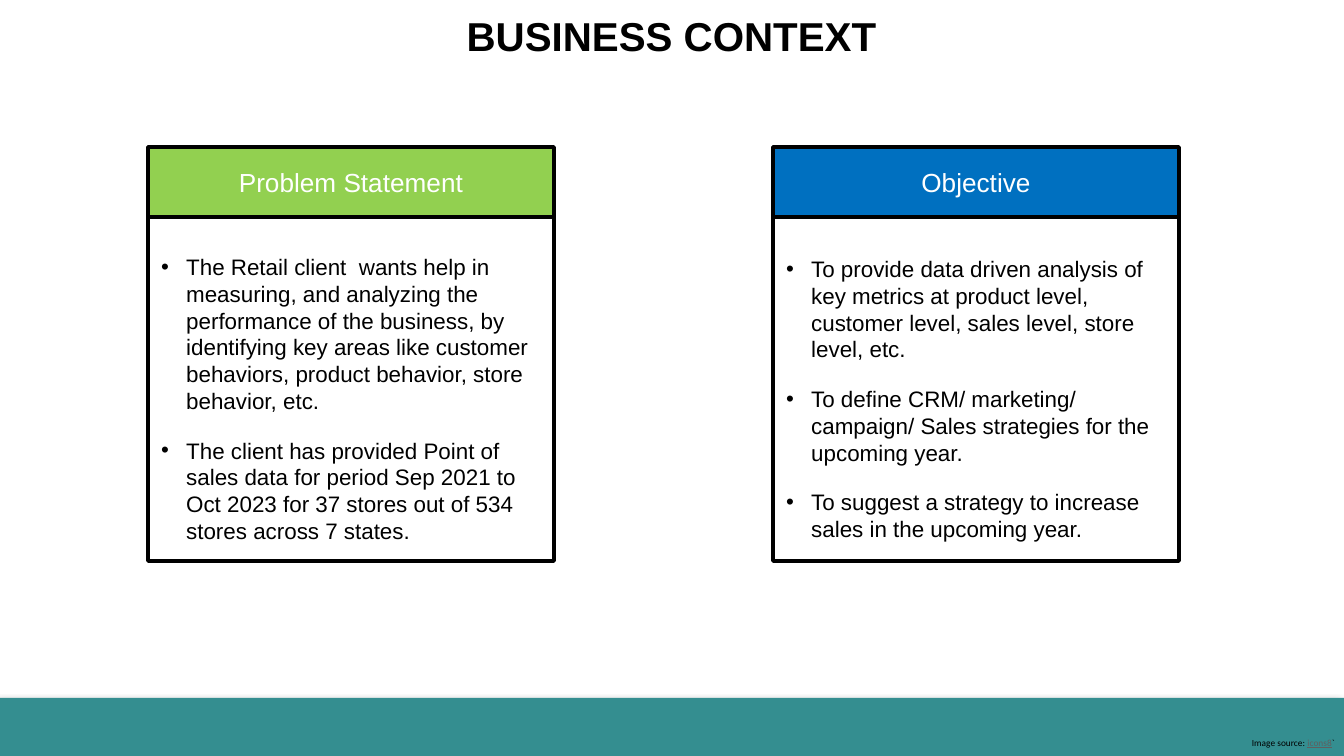
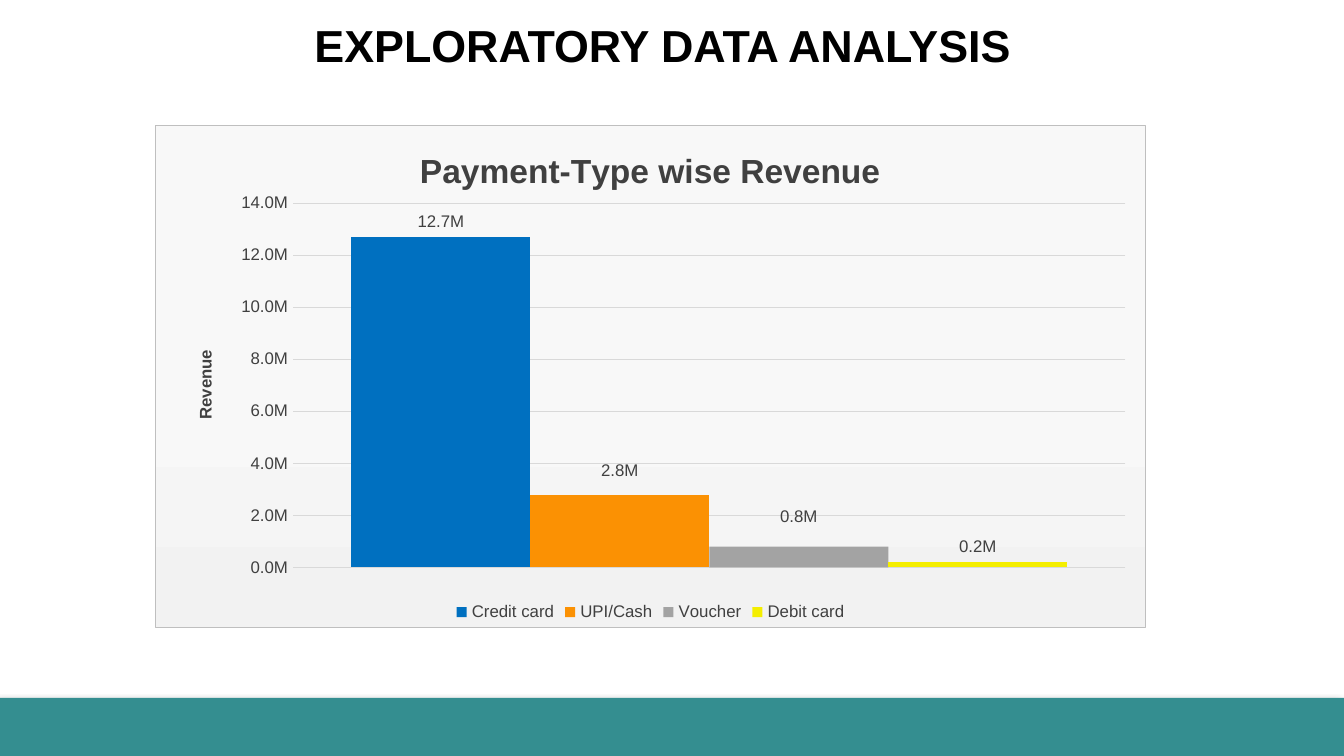
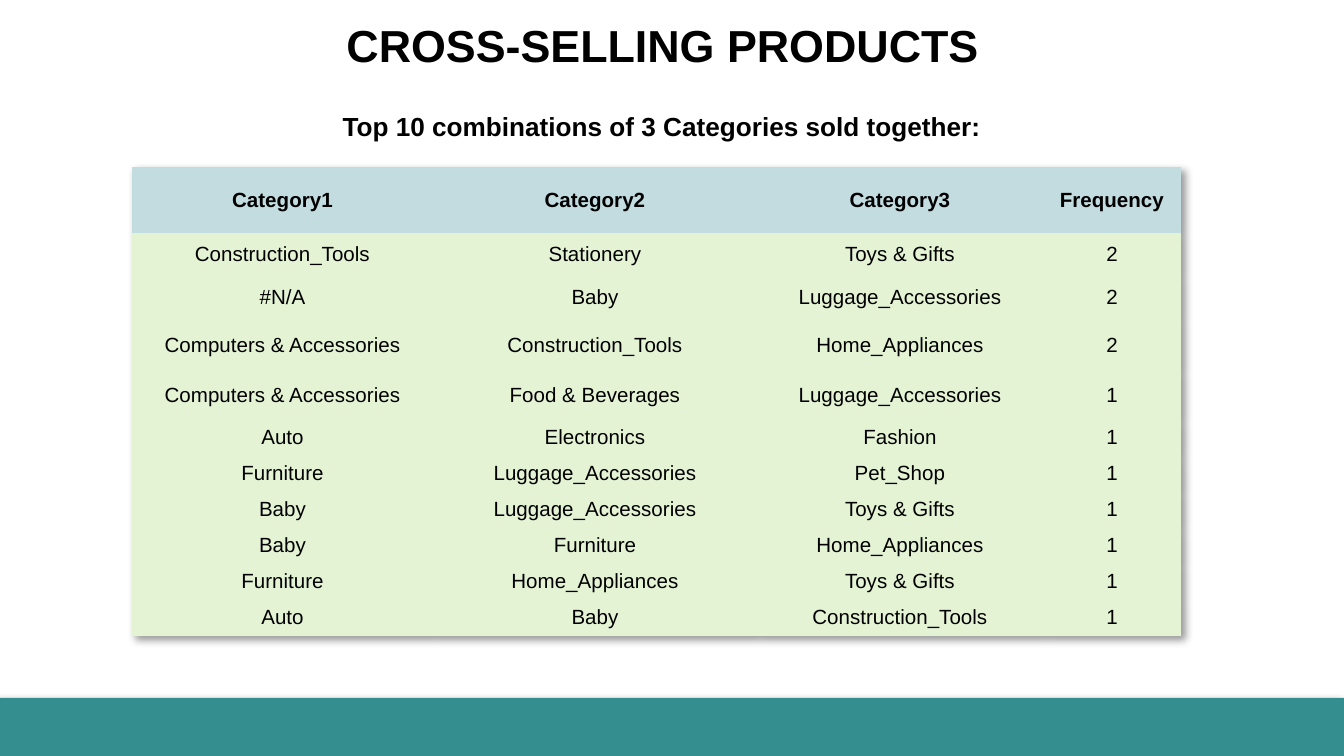
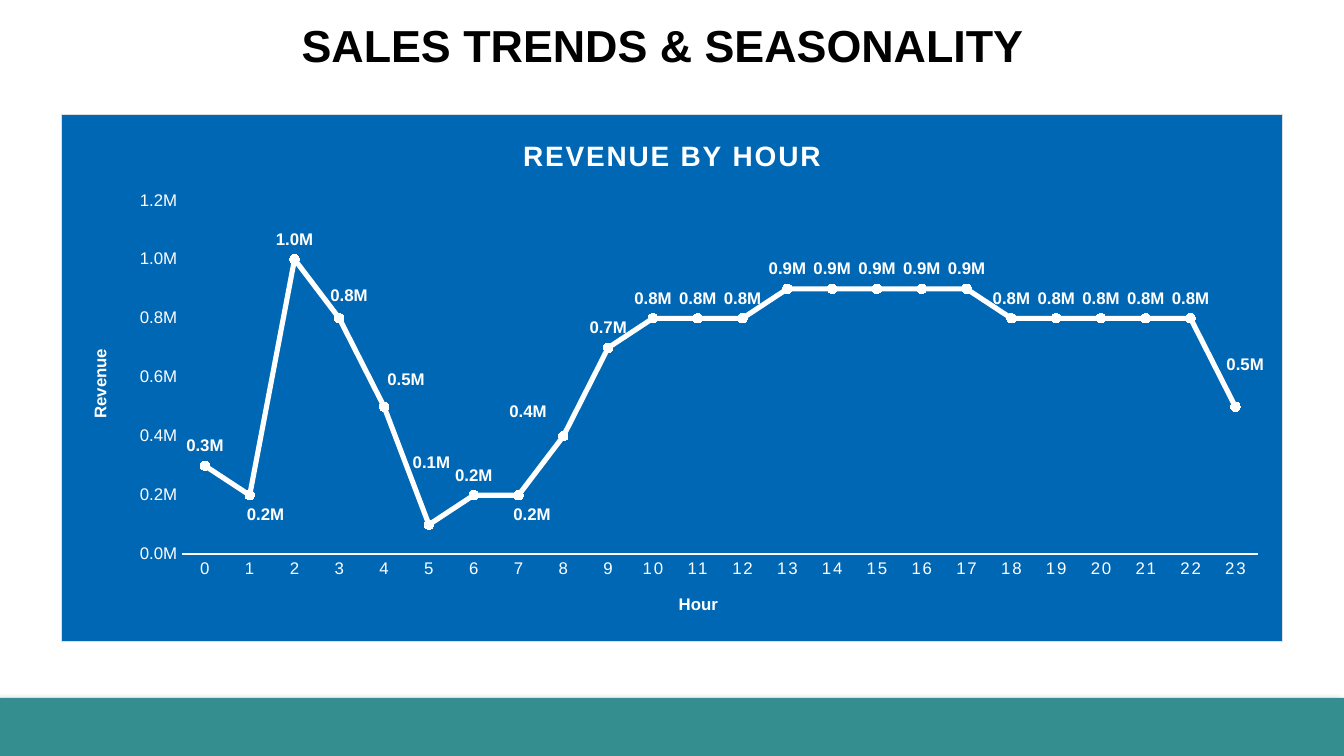
from copy import deepcopy

from lxml.etree import SubElement
from pptx import Presentation
from pptx.chart.data import CategoryChartData
from pptx.dml.color import RGBColor
from pptx.enum.chart import (
    XL_CHART_TYPE, XL_LABEL_POSITION, XL_LEGEND_POSITION, XL_MARKER_STYLE, XL_TICK_MARK,
)
from pptx.enum.shapes import MSO_SHAPE
from pptx.enum.text import MSO_ANCHOR, MSO_AUTO_SIZE, PP_ALIGN
from pptx.oxml import parse_xml
from pptx.oxml.ns import nsdecls, qn
from pptx.util import Emu, Pt

SCALE = 914400 / 134.4
COLORS = {
    "black": "000000", "white": "FFFFFF", "band": "348E90", "link": "5F5F5F",
    "green": "92D050", "blue": "0070C0", "orange": "FB9103", "gray": "969696",
    "yellow": "F4EE00", "ink": "404040", "grid": "D9D9D9", "edge": "BFBFBF",
    "header": "C2DCE0", "row": "E5F3D5", "panel": "0067B4", "panel_edge": "DDDDDD",
    "shade": "F2F2F2", "light": "F8F8F8",
}
MILLIONS = '0.0,,"M"'
NO_GRID_STYLE = "{2D5ABB26-0587-4C30-8999-92F81FD0307C}"
NO_LEADER_LINES = (
    f'<c:extLst {nsdecls("c")}><c:ext uri="{{CE6537A1-D6FC-4f65-9D91-7224C49458BB}}" '
    'xmlns:c15="http://schemas.microsoft.com/office/drawing/2012/chart">'
    '<c15:showLeaderLines val="0"/></c:ext></c:extLst>'
)


def px(length):
    """Turn a px length into EMU."""
    return Emu(round(length * SCALE))


def rgb(name):
    """Look up a named colour."""
    return RGBColor.from_string(COLORS[name])


def text_style(size, color="black", **more):
    """Collect font values for a piece of text."""
    return {"size": Pt(size), "color": color, "name": "Arial", **more}


def format_font(font, style):
    """Set font attributes from a dict."""
    for name, value in style.items():
        if name == "color":
            font.color.rgb = rgb(value)
        else:
            setattr(font, name, value)


def format_frame(frame, **values):
    """Fix the size of a text frame and set its values."""
    settings = {"word_wrap": True, "auto_size": MSO_AUTO_SIZE.NONE, **values}
    for name, value in settings.items():
        setattr(frame, name, value)


def write(para, text, style, align=None):
    """Add one formatted run to a paragraph."""
    span = para.add_run()
    span.text = text
    format_font(span.font, style)
    if align is not None:
        para.alignment = align


def add_shadow(effects, blur, distance, angle):
    """Fill an effect list with a soft black shadow."""
    shadow = SubElement(effects, qn("a:outerShdw"), blurRad=str(Pt(blur)),
                        dist=str(Pt(distance)), dir=str(angle * 60000), rotWithShape="0")
    color = SubElement(shadow, qn("a:srgbClr"), val=COLORS["black"])
    SubElement(color, qn("a:alpha"), val="40000")


def add_rectangle(slide, bounds, fill, line=None):
    """Add a plain rectangle at px bounds."""
    box = slide.shapes.add_shape(MSO_SHAPE.RECTANGLE, *map(px, bounds))
    box.shadow.inherit = False
    box.fill.solid()
    box.fill.fore_color.rgb = rgb(fill)
    if line:
        box.line.color.rgb = rgb(line)
        box.line.width = Pt(2)
    else:
        box.line.fill.background()
    return box


def add_band(slide, layout):
    """Build the bottom band and move it to the shared layout."""
    band = add_rectangle(slide, (0, 698, 1344, 58), "band")
    add_shadow(band.element.spPr.find(qn("a:effectLst")), 4, 3, 135)
    band.element.nvSpPr.cNvPr.set("id", "20")
    layout.shapes.element.append(band.element)


def set_title(slide, text, bounds=(74, 6, 1177, 79), size=24, anchor=MSO_ANCHOR.BOTTOM,
              spacing=1.0):
    """Place and format the title placeholder."""
    title = slide.shapes.title
    title.left, title.top, title.width, title.height = map(px, bounds)
    margins = {f"margin_{side}": px(13) for side in ("left", "top", "right", "bottom")}
    format_frame(title.text_frame, vertical_anchor=anchor, **margins)
    para = title.text_frame.paragraphs[0]
    para.line_spacing = spacing
    write(para, text, text_style(size, bold=True), PP_ALIGN.CENTER)


def add_bullet(para):
    """Give a paragraph a hanging round bullet."""
    properties = para._p.get_or_add_pPr()
    properties.set("marL", str(px(25)))
    properties.set("indent", str(-px(25)))
    color = SubElement(properties, qn("a:buClr"))
    SubElement(color, qn("a:srgbClr"), val=COLORS["black"])
    SubElement(properties, qn("a:buFont"), typeface="Arial")
    SubElement(properties, qn("a:buChar"), char="•")


def add_card(slide, left, heading, fill, top_margin, points):
    """Add a coloured heading box over a box of bullets."""
    head = add_rectangle(slide, (left, 147, 406, 70), fill, "black")
    format_frame(head.text_frame, vertical_anchor=MSO_ANCHOR.MIDDLE)
    write(head.text_frame.paragraphs[0], heading, text_style(14, "white"), PP_ALIGN.CENTER)
    body = add_rectangle(slide, (left, 217, 406, 344), "white", "black")
    frame = body.text_frame
    format_frame(frame, vertical_anchor=MSO_ANCHOR.TOP, margin_top=px(top_margin))
    for index, point in enumerate(points):
        para = frame.add_paragraph() if index else frame.paragraphs[0]
        add_bullet(para)
        para.space_after = Pt(12)
        write(para, point, text_style(12), PP_ALIGN.LEFT)


def add_text(slide, bounds, spans, align=PP_ALIGN.LEFT, **values):
    """Add a one-paragraph text box of (text, style) spans."""
    box = slide.shapes.add_textbox(*map(px, bounds))
    format_frame(box.text_frame, **values)
    for text, style in spans:
        write(box.text_frame.paragraphs[0], text, style, align)


def add_table(slide, left, top, widths, heights, rows):
    """Add a centred table with a header row and a shadow."""
    frame = slide.shapes.add_table(len(rows), len(widths), px(left), px(top),
                                   px(sum(widths)), px(sum(heights)))
    table = frame.table
    properties = frame.element.xpath(".//a:tblPr")[0]
    properties.find(qn("a:tableStyleId")).text = NO_GRID_STYLE
    effects = parse_xml(f"<a:effectLst {nsdecls('a')}/>")
    add_shadow(effects, 4, 3, 45)
    properties.insert(0, effects)
    for column, width in zip(table.columns, widths):
        column.width = px(width)
    for row, height in zip(table.rows, heights):
        row.height = px(height)
    for row_index, texts in enumerate(rows):
        is_header = row_index == 0
        for column_index, text in enumerate(texts):
            cell = table.cell(row_index, column_index)
            cell.fill.solid()
            cell.fill.fore_color.rgb = rgb("header" if is_header else "row")
            cell.vertical_anchor = MSO_ANCHOR.MIDDLE
            for side in ("left", "top", "right", "bottom"):
                setattr(cell, f"margin_{side}", 0)
            write(cell.text_frame.paragraphs[0], text, text_style(11, bold=is_header),
                  PP_ALIGN.CENTER)


def add_layout(element, values, **modes):
    """Write a manual layout into a chart element."""
    layout = element.find(qn("c:layout"))
    if layout is None:
        layout = element.makeelement(qn("c:layout"))
        element.insert(0, layout)
    manual = SubElement(layout, qn("c:manualLayout"))
    for name, value in {**modes, **values}.items():
        SubElement(manual, qn(f"c:{name}"), val=str(value))


def place(element, bounds, spot):
    """Place a chart element at a px spot of the slide."""
    left, top, width, height = bounds
    values = {"x": round((spot[0] - left) / width, 3), "y": round((spot[1] - top) / height, 3)}
    modes = {"xMode": "edge", "yMode": "edge"}
    if len(spot) == 4:
        modes = {"layoutTarget": "inner", **modes}
        values.update(w=round(spot[2] / width, 3), h=round(spot[3] / height, 3))
    add_layout(element, values, **modes)


def add_chart(slide, kind, bounds, categories, series, plot_area):
    """Add a chart with a fixed plot area."""
    data = CategoryChartData(number_format=MILLIONS)
    data.categories = categories
    for name, values in series:
        data.add_series(name, values)
    chart = slide.shapes.add_chart(kind, *map(px, bounds), data).chart
    format_font(chart.font, text_style(10))
    chart.has_legend = False
    chart.plots[0].vary_by_categories = False
    place(chart.element.xpath(".//c:plotArea")[0], bounds, plot_area)
    return chart


def set_chart_title(title, text, style, bounds, spot):
    """Write and place a chart or axis title."""
    write(title.text_frame.paragraphs[0], text, style)
    place(title.element if hasattr(title, "element") else title._element, bounds, spot)


def format_value_axis(chart, top, step, color, bounds, spot):
    """Format the value axis and its upright title."""
    axis = chart.value_axis
    settings = {"minimum_scale": 0, "maximum_scale": top, "major_unit": step,
                "major_tick_mark": XL_TICK_MARK.NONE, "minor_tick_mark": XL_TICK_MARK.NONE}
    for name, value in settings.items():
        setattr(axis, name, value)
    axis.format.line.fill.background()
    axis.tick_labels.number_format = MILLIONS
    axis.tick_labels.number_format_is_linked = False
    format_font(axis.tick_labels.font, text_style(9, color))
    set_chart_title(axis.axis_title, "Revenue", text_style(9, color, bold=True), bounds, spot)
    body = chart.element.xpath(".//c:valAx/c:title//a:bodyPr")[0]
    body.set("rot", "-5400000")
    body.set("vert", "horz")


def solid_fill(color):
    """Give the XML of a solid fill."""
    return f'<a:solidFill><a:srgbClr val="{COLORS[color]}"/></a:solidFill>'


def gradient_fill(stops, angle):
    """Give the XML of a linear gradient."""
    marks = "".join(f'<a:gs pos="{place_at * 1000}"><a:srgbClr val="{COLORS[color]}"/></a:gs>'
                    for place_at, color in stops)
    return f'<a:gradFill><a:gsLst>{marks}</a:gsLst><a:lin ang="{angle * 60000}"/></a:gradFill>'


def fill_chart(chart, fill, edge):
    """Set the background and border of a chart."""
    chart.element.find(qn("c:chart")).addnext(parse_xml(
        f'<c:spPr {nsdecls("c", "a")}>{fill}<a:ln w="9525">{solid_fill(edge)}</a:ln></c:spPr>'))


def label_series(series, style, position, bounds, shifts):
    """Show values on a series and shift some labels by px."""
    labels = series.data_labels
    settings = {"show_value": True, "number_format": MILLIONS,
                "number_format_is_linked": False, "position": position}
    for name, value in settings.items():
        setattr(labels, name, value)
    format_font(labels.font, style)
    group = labels._element
    for leader in group.findall(qn("c:showLeaderLines")):
        group.remove(leader)
    shared = list(group)
    for order, (index, (right, down)) in enumerate(shifts.items()):
        label = group.makeelement(qn("c:dLbl"))
        add_layout(label, {"x": round(right / bounds[2], 3), "y": round(down / bounds[3], 3)})
        label.insert(0, label.makeelement(qn("c:idx"), val=str(index)))
        label.extend(deepcopy(shared))
        group.insert(order, label)
    SubElement(group, qn("c:showLeaderLines"), val="0")
    group.append(parse_xml(NO_LEADER_LINES))


def add_payment_chart(slide):
    """Add the column chart of revenue by payment type."""
    bounds = (155, 125, 991, 503)
    payments = [
        ("Credit card", 12700000, "blue", {}),
        ("UPI/Cash", 2800000, "orange", {0: (0, -9)}),
        ("Voucher", 800000, "gray", {0: (0, -15)}),
        ("Debit card", 200000, "yellow", {}),
    ]
    chart = add_chart(slide, XL_CHART_TYPE.COLUMN_CLUSTERED, bounds, ["1"],
                      [(name, [value]) for name, value, _, _ in payments],
                      (293, 203, 833, 365))
    set_chart_title(chart.chart_title, "Payment-Type wise Revenue",
                    text_style(18, "ink", bold=True), bounds, (414, 142))
    format_value_axis(chart, 14000000, 2000000, "ink", bounds, (191, 347))
    grid = chart.value_axis.major_gridlines.format.line
    grid.color.rgb = rgb("grid")
    grid.width = Pt(0.75)
    chart.category_axis.visible = False
    chart.plots[0].gap_width = 65
    chart.plots[0].overlap = 0
    for series, (_, _, color, shifts) in zip(chart.plots[0].series, payments):
        series.format.fill.solid()
        series.format.fill.fore_color.rgb = rgb(color)
        label_series(series, text_style(9, "ink"), XL_LABEL_POSITION.OUTSIDE_END, bounds, shifts)
    voucher = chart.element.xpath(".//c:ser[3]/c:spPr//a:srgbClr")[0]
    SubElement(voucher, qn("a:alpha"), val="85000")
    chart.has_legend = True
    chart.legend.position = XL_LEGEND_POSITION.BOTTOM
    chart.legend.include_in_layout = False
    format_font(chart.legend.font, text_style(9, "ink"))
    stops = [(0, "shade"), (48, "light"), (100, "light")]
    fill_chart(chart, gradient_fill(stops, 270), "edge")


def add_hour_chart(slide):
    """Add the line chart of revenue by hour."""
    bounds = (61, 114, 1222, 528)
    tenths = [3, 2, 10, 8, 5, 1, 2, 2, 4, 7, 8, 8, 8, 9, 9, 9, 9, 9, 8, 8, 8, 8, 8, 5]
    shifts = {1: (16, 39), 3: (10, -3), 4: (22, -7), 5: (2, -42), 7: (14, 39),
              8: (-35, -5), 23: (10, -22)}
    chart = add_chart(slide, XL_CHART_TYPE.LINE_MARKERS, bounds,
                      [str(hour) for hour in range(24)],
                      [("Series 1", [value * 100000 for value in tenths])],
                      (182, 200, 1076, 355))
    set_chart_title(chart.chart_title, "REVENUE BY HOUR",
                    text_style(15, "white", bold=True), bounds, (518, 132))
    format_value_axis(chart, 1200000, 200000, "white", bounds, (85, 346))
    chart.value_axis.has_major_gridlines = False
    axis = chart.category_axis
    axis.major_tick_mark = XL_TICK_MARK.NONE
    axis.format.line.color.rgb = rgb("white")
    axis.format.line.width = Pt(1)
    format_font(axis.tick_labels.font, text_style(9, "white"))
    set_chart_title(axis.axis_title, "Hour", text_style(9, "white", bold=True), bounds, (676, 591))
    spaced = "./c:chart/c:title//a:rPr | .//c:catAx/c:txPr//a:defRPr"
    for properties in chart.element.xpath(spaced):
        properties.set("spc", "100")
    series = chart.plots[0].series[0]
    series.smooth = False
    series.format.line.color.rgb = rgb("white")
    series.format.line.width = Pt(2.75)
    marker = series.marker
    marker.style = XL_MARKER_STYLE.CIRCLE
    marker.size = 5
    marker.format.fill.solid()
    marker.format.fill.fore_color.rgb = rgb("white")
    marker.format.line.color.rgb = rgb("white")
    label_series(series, text_style(9, "white", bold=True), XL_LABEL_POSITION.ABOVE,
                 bounds, shifts)
    fill_chart(chart, solid_fill("panel"), "panel_edge")


def build_context(slide):
    """Fill the business context slide."""
    set_title(slide, "BUSINESS CONTEXT", (83, 4, 1177, 71), 21.6, MSO_ANCHOR.MIDDLE, 0.8)
    add_card(slide, 148, "Problem Statement", "green", 36, [
        "The Retail client\u00a0 wants help in measuring, and analyzing the performance of the "
        "business, by identifying key areas like customer behaviors, product behavior, store "
        "behavior, etc.",
        "The client has provided Point of sales data for period Sep 2021 to Oct 2023 for 37 "
        "stores out of 534 stores across 7 states.",
    ])
    add_card(slide, 773, "Objective", "blue", 38, [
        "To provide data driven analysis of key metrics at product level, customer level, "
        "sales level, store level, etc.",
        "To define CRM/ marketing/ campaign/ Sales strategies for the upcoming year.",
        "To suggest a strategy to increase sales in the upcoming year.",
    ])
    credit = {"size": Pt(5), "name": "Calibri", "color": "black"}
    add_text(slide, (1252, 737, 89, 11), [
        ("Image source: ", credit),
        ("icons8", {**credit, "color": "link", "underline": True}),
        ("`", credit),
    ], margin_left=0, margin_top=0, margin_right=0, margin_bottom=0)


def build_exploration(slide):
    """Fill the exploratory data analysis slide."""
    set_title(slide, "EXPLORATORY DATA ANALYSIS")
    add_payment_chart(slide)


def build_cross_selling(slide):
    """Fill the cross-selling slide."""
    set_title(slide, "CROSS-SELLING PRODUCTS")
    add_text(slide, (267, 104, 790, 46),
             [("Top 10 combinations of 3 Categories sold together:", text_style(14, bold=True))],
             PP_ALIGN.CENTER)
    add_table(slide, 132, 167, [301, 324, 286, 138], [66, 43, 43, 52, 49] + [36] * 6, [
        ("Category1", "Category2", "Category3", "Frequency"),
        ("Construction_Tools", "Stationery", "Toys & Gifts", "2"),
        ("#N/A", "Baby", "Luggage_Accessories", "2"),
        ("Computers & Accessories", "Construction_Tools", "Home_Appliances", "2"),
        ("Computers & Accessories", "Food & Beverages", "Luggage_Accessories", "1"),
        ("Auto", "Electronics", "Fashion", "1"),
        ("Furniture", "Luggage_Accessories", "Pet_Shop", "1"),
        ("Baby", "Luggage_Accessories", "Toys & Gifts", "1"),
        ("Baby", "Furniture", "Home_Appliances", "1"),
        ("Furniture", "Home_Appliances", "Toys & Gifts", "1"),
        ("Auto", "Baby", "Construction_Tools", "1"),
    ])


def build_trends(slide):
    """Fill the sales trends slide."""
    set_title(slide, "SALES TRENDS & SEASONALITY")
    add_hour_chart(slide)


def main():
    """Build and save the deck."""
    deck = Presentation()
    deck.slide_width, deck.slide_height = px(1344), px(756)
    layout = deck.slide_layouts[5]
    builders = (build_context, build_exploration, build_cross_selling, build_trends)
    pages = [deck.slides.add_slide(layout) for _ in builders]
    add_band(pages[0], layout)
    for build, page in zip(builders, pages):
        build(page)
    deck.save("out.pptx")


if __name__ == "__main__":
    main()
